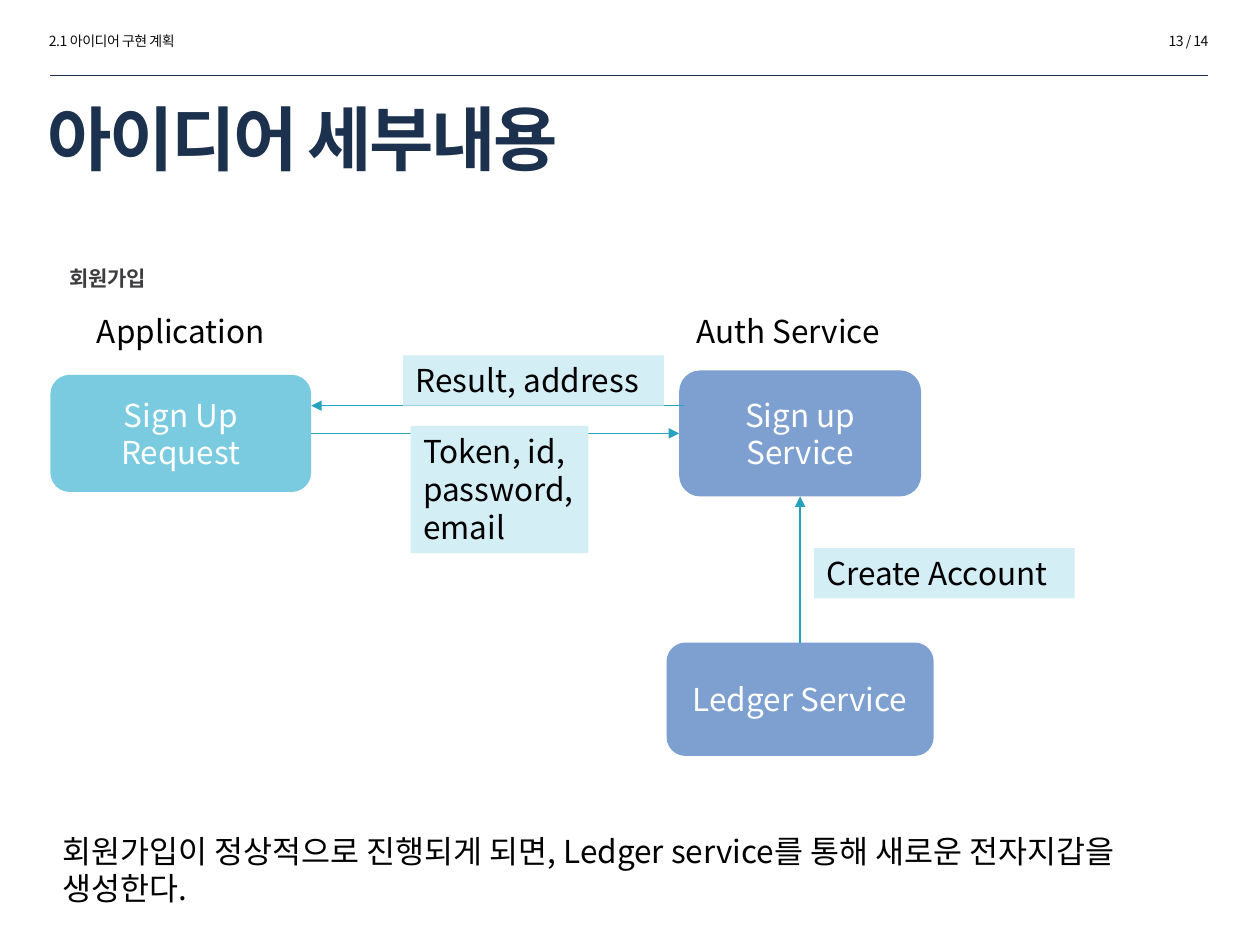
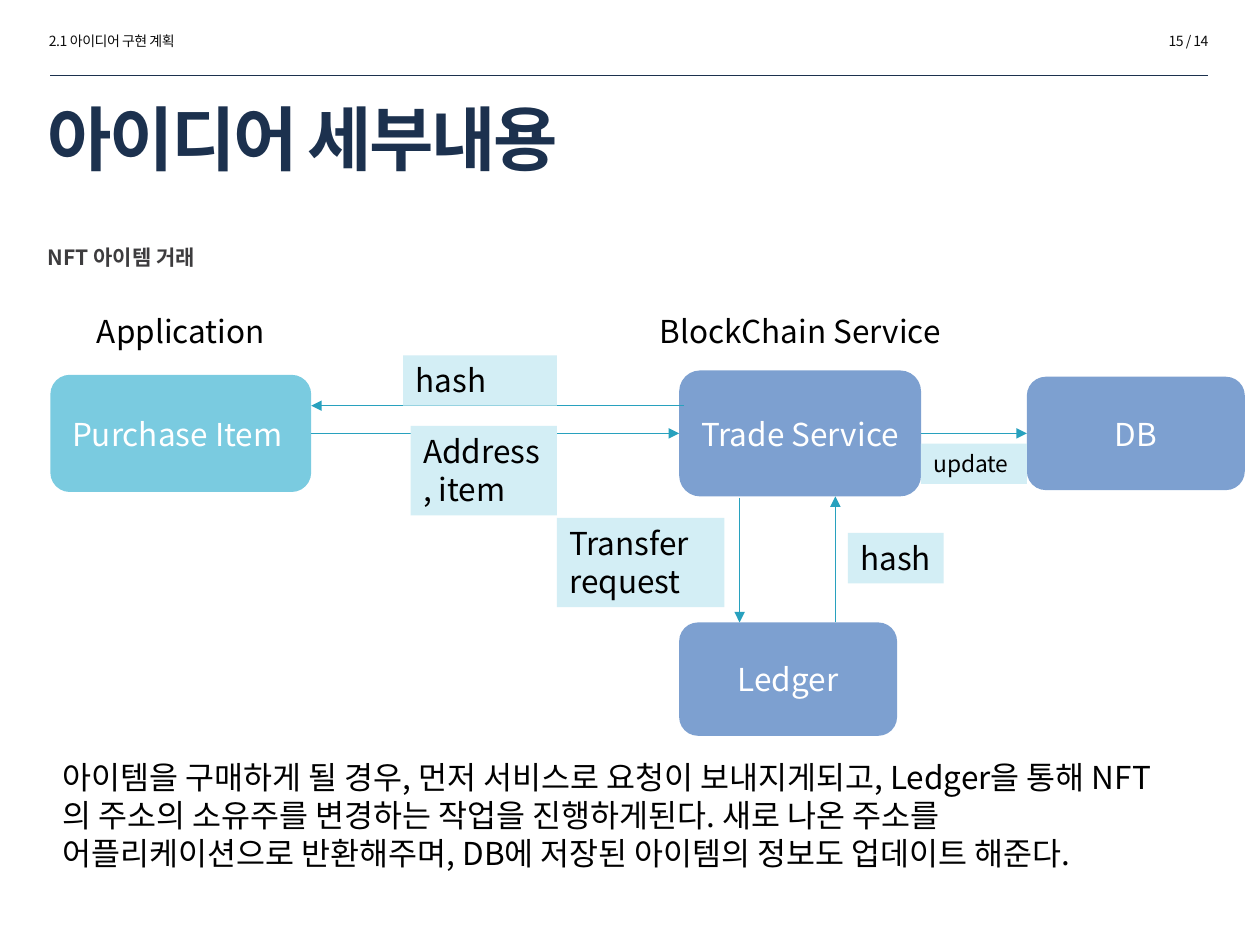
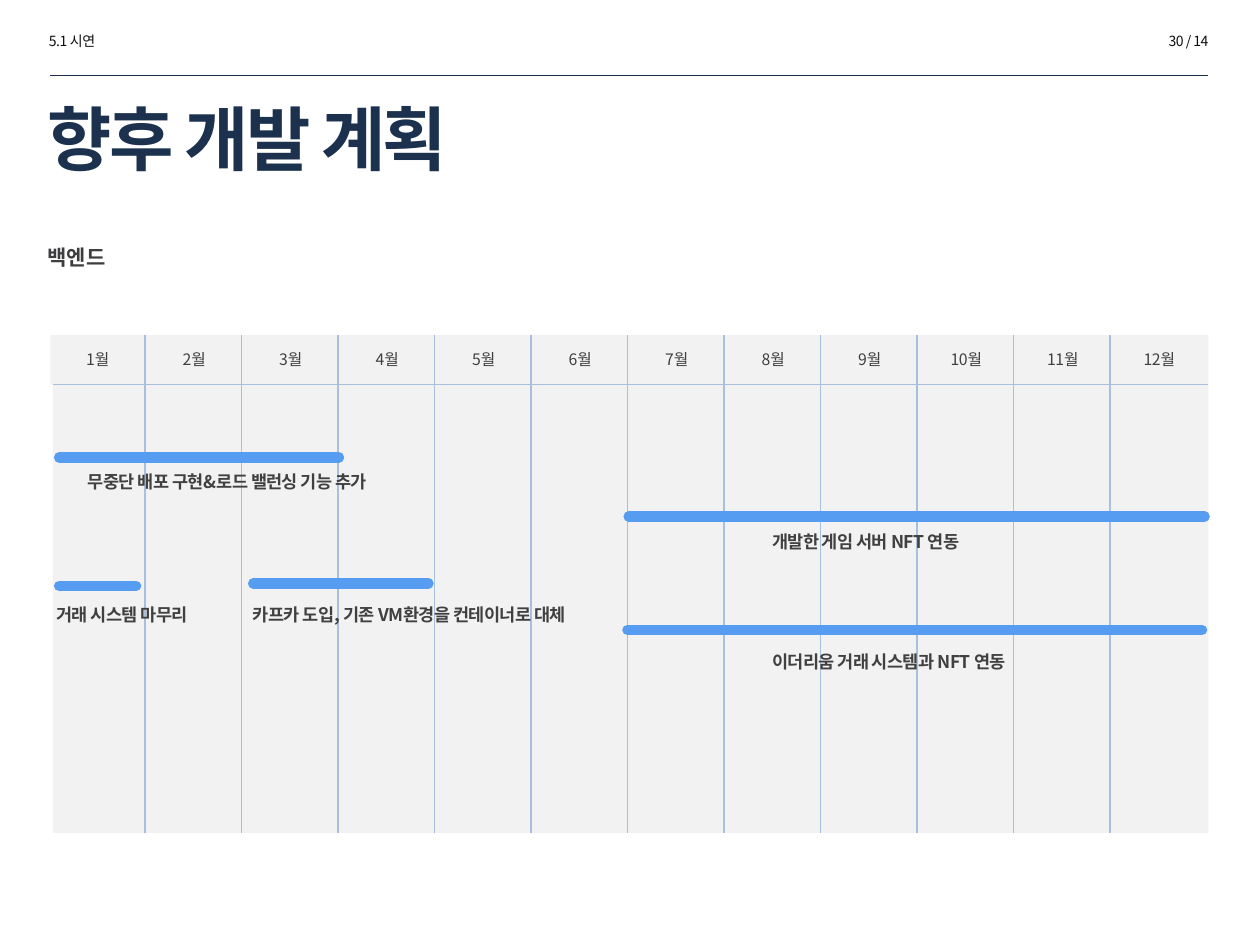
from collections import namedtuple

from lxml import etree
from pptx import Presentation
from pptx.dml.color import RGBColor
from pptx.enum.shapes import MSO_CONNECTOR, MSO_SHAPE
from pptx.enum.text import MSO_ANCHOR, MSO_AUTO_SIZE, PP_ALIGN
from pptx.oxml.ns import qn
from pptx.util import Inches, Pt

NAVY = RGBColor(0x1C, 0x31, 0x4E)
INK = RGBColor(0x0D, 0x0D, 0x0D)
BLACK = RGBColor(0, 0, 0)
WHITE = RGBColor(0xFF, 0xFF, 0xFF)
CHARCOAL = RGBColor(0x3D, 0x3C, 0x3E)
GREY = RGBColor(0x40, 0x40, 0x40)
PANEL = RGBColor(0xF2, 0xF2, 0xF2)
RULE = RGBColor(0xA8, 0xBF, 0xDF)
BAR = RGBColor(0x56, 0x9C, 0xF0)
CYAN = RGBColor(0x7A, 0xCB, 0xE0)
BLUE = RGBColor(0x7D, 0xA0, 0xD0)
PALE = RGBColor(0xD3, 0xEE, 0xF5)
TEAL = RGBColor(0x28, 0xA1, 0xBE)

FONT = "Noto Sans CJK KR"
LEFT, CENTER, RIGHT = PP_ALIGN.LEFT, PP_ALIGN.CENTER, PP_ALIGN.RIGHT
TOP, MIDDLE = MSO_ANCHOR.TOP, MSO_ANCHOR.MIDDLE
RECT, ROUNDED = MSO_SHAPE.RECTANGLE, MSO_SHAPE.FLOWCHART_ALTERNATE_PROCESS
STRAIGHT = MSO_CONNECTOR.STRAIGHT
SITE_TOP, SITE_LEFT, SITE_BOTTOM, SITE_RIGHT = range(4)
TITLE_ONLY = 5
LINE_HEIGHT = 1.2

COLS, ROWS = 100, 75
WIDTH, HEIGHT = Inches(10), Inches(7.5)

TITLE = {"size": 40, "color": NAVY, "bold": True, "spc": -150}
RUNNING = {"size": 8, "color": INK, "spc": -30}
SUBHEAD = {"size": 12, "color": CHARCOAL, "bold": True}
BODY = {"size": 18, "color": BLACK}
SMALL = {"size": 13, "color": BLACK}
NODE = {"size": 18, "color": WHITE}
MONTH = {"size": 9, "color": GREY, "spc": -30}
TASK = {"size": 10, "color": GREY, "bold": True, "spc": -30, "leading": 1.1}

Box = namedtuple("Box", "x y w h")
HEADER = Box(2.8, 2.1, 94.1, 12)
FLOW = Box(4, 24.3, 95, 36)
TIMELINE = Box(4, 26.6, 91.9, 39.5)


def inside(box, x, y, w, h):
    return Box(box.x + x, box.y + y, w, h)


def emu(box):
    cell_w, cell_h = WIDTH / COLS, HEIGHT / ROWS
    return [int(v) for v in (box.x * cell_w, box.y * cell_h,
                             box.w * cell_w, box.h * cell_h)]


def write(sp, text, style, align=LEFT, anchor=TOP, wrap=True):
    tf = sp.text_frame
    frame = {"word_wrap": wrap, "auto_size": MSO_AUTO_SIZE.NONE,
             "vertical_anchor": anchor}
    for name, value in frame.items():
        setattr(tf, name, value)
    p = tf.paragraphs[0]
    p.alignment = align
    p.line_spacing = Pt(style["size"] * LINE_HEIGHT * style.get("leading", 1))
    r = p.add_run()
    r.text = text
    font = {"size": Pt(style["size"]), "bold": style.get("bold", False), "name": FONT}
    for name, value in font.items():
        setattr(r.font, name, value)
    r.font.color.rgb = style["color"]
    rpr = r.font._element
    rpr.set("spc", str(style.get("spc", 0)))
    etree.SubElement(rpr, qn("a:ea")).set("typeface", FONT)


def add_text(slide, box, text, style, align=LEFT):
    sp = slide.shapes.add_textbox(*emu(box))
    write(sp, text, style, align)


def add_block(slide, kind, box, fill):
    sp = slide.shapes.add_shape(kind, *emu(box))
    sp.shadow.inherit = False
    sp.fill.solid()
    sp.fill.fore_color.rgb = fill
    sp.line.fill.background()
    return sp


def add_line(slide, box, color, width, cap=None, arrow=False):
    x, y, w, h = emu(box)
    line = slide.shapes.add_connector(STRAIGHT, x, y, x + w, y + h)
    line.line.color.rgb = color
    line.line.width = Pt(width)
    ln = line.line._get_or_add_ln()
    if cap:
        ln.set("cap", cap)
    if arrow:
        etree.SubElement(ln, qn("a:tailEnd")).set("type", "triangle")
    etree.SubElement(line._element.spPr, qn("a:effectLst"))
    return line


def add_header(prs, box, section, title, page):
    slide = prs.slides.add_slide(prs.slide_layouts[TITLE_ONLY])
    add_line(slide, inside(box, 1.2, 3.9, 91.9, 0), NAVY, 0.25)
    sp = slide.shapes.title
    sp.left, sp.top, sp.width, sp.height = emu(inside(box, 0, 5.6, 76.5, 6.4))
    write(sp, title, TITLE, anchor=MIDDLE)
    add_text(slide, inside(box, 0.1, 0, 17.3, 2.4), section, RUNNING)
    add_text(slide, inside(box, box.w - 17.3, 0, 17.3, 2.4), f"{page} / 14", RUNNING, RIGHT)
    return slide


def add_node(slide, box, text, fill):
    sp = add_block(slide, ROUNDED, box, fill)
    write(sp, text, NODE, CENTER, MIDDLE)
    return sp


def add_label(slide, box, text, style=BODY):
    write(add_block(slide, RECT, box, PALE), text, style)


def add_arrow(slide, box):
    return add_line(slide, box, TEAL, 0.75, arrow=True)


def join(slide, start, start_site, end, end_site):
    arrow = add_arrow(slide, Box(0, 0, 0, 0))
    arrow.begin_connect(start, start_site)
    arrow.end_connect(end, end_site)


def add_exchange(slide, box, client, service, heading, heading_w):
    add_text(slide, inside(box, 0, 0, 20.7, 4), "Application", BODY, CENTER)
    add_text(slide, inside(box, 47, 0, heading_w, 4), heading, BODY, CENTER)
    left = add_node(slide, inside(box, 0, 5.45, 20.7, 9.3), client, CYAN)
    right = add_node(slide, inside(box, 49.9, 5.1, 19.2, 10), service, BLUE)
    join(slide, left, SITE_RIGHT, right, SITE_LEFT)
    add_arrow(slide, inside(box, 50.3, 7.9, -29.6, 0))
    return right


def add_sign_up_flow(slide, box):
    service = add_exchange(slide, box, "Sign Up Request", "Sign up Service",
                           "Auth Service", 23.1)
    ledger = add_node(slide, inside(box, 48.9, 26.7, 21.2, 9), "Ledger Service", BLUE)
    join(slide, ledger, SITE_TOP, service, SITE_BOTTOM)
    add_label(slide, inside(box, 28.6, 9.5, 14.1, 10.1), "Token, id, password, email")
    add_label(slide, inside(box, 28, 3.9, 20.7, 4), "Result, address")
    add_label(slide, inside(box, 60.6, 19.2, 20.7, 4), "Create Account")


def add_trade_flow(slide, box):
    service = add_exchange(slide, box, "Purchase Item ", "Trade Service",
                           "BlockChain Service", 25)
    db = add_node(slide, inside(box, 77.5, 5.6, 17.3, 9), "DB", BLUE)
    add_node(slide, inside(box, 49.9, 25.1, 17.3, 9), "Ledger", BLUE)
    join(slide, service, SITE_RIGHT, db, SITE_LEFT)
    add_arrow(slide, inside(box, 54.7, 15.2, 0, 9.9))
    add_arrow(slide, inside(box, 62.3, 25.1, 0, -10))
    add_label(slide, inside(box, 28.6, 9.5, 11.6, 7.1), "Address, item")
    add_label(slide, inside(box, 28, 3.9, 12.2, 4), "hash")
    add_label(slide, inside(box, 40.2, 16.8, 13.3, 7.1), "Transfer request")
    add_label(slide, inside(box, 63.3, 18, 7.6, 4), "hash")
    add_label(slide, inside(box, 69.1, 10.9, 8.4, 3.2), "update", SMALL)


def add_timeline(slide, box, tasks):
    pitch, head = 7.66, 3.9
    add_block(slide, RECT, inside(box, 0.2, 0, box.w - 0.2, box.h), PANEL)
    for i in range(12):
        sp = add_block(slide, RECT, inside(box, i * pitch, 0, 7.5, head), PANEL)
        write(sp, f"{i + 1}월", MONTH, CENTER, MIDDLE, wrap=False)
    add_line(slide, inside(box, 0.2, head, box.w - 0.2, 0), RULE, 0.5)
    for i in range(1, 12):
        add_line(slide, inside(box, i * pitch - 0.15, 0, 0, box.h), RULE, 0.75)
    for text, bar_x, bar_y, bar_w, text_x, text_y, text_w in tasks:
        add_line(slide, inside(box, bar_x, bar_y, bar_w, 0), BAR, 6, cap="rnd")
        add_text(slide, inside(box, text_x, text_y, text_w, 2.7), text, TASK)


def main():
    prs = Presentation()
    prs.slide_width, prs.slide_height = WIDTH, HEIGHT
    plan, detail = "2.1 아이디어 구현 계획", "아이디어 세부내용"

    s = add_header(prs, HEADER, plan, detail, 13)
    add_text(s, Box(4.5, 20.6, 92.6, 8), "회원가입", SUBHEAD)
    add_sign_up_flow(s, FLOW)
    add_text(s, Box(4, 65.5, 89, 7.1),
             "회원가입이 정상적으로 진행되게 되면, Ledger service를 통해 "
             "새로운 전자지갑을 생성한다.", BODY)

    s = add_header(prs, HEADER, plan, detail, 15)
    add_text(s, Box(2.8, 18.9, 92.6, 3.1), "NFT 아이템 거래", SUBHEAD)
    add_trade_flow(s, FLOW)
    add_text(s, Box(4, 59.7, 89, 10.1),
             "아이템을 구매하게 될 경우, 먼저 서비스로 요청이 보내지게되고, Ledger을 통해 "
             "NFT의 주소의 소유주를 변경하는 작업을 진행하게된다. 새로 나온 주소를 "
             "어플리케이션으로 반환해주며, DB에 저장된 아이템의 정보도 업데이트 해준다.", BODY)

    s = add_header(prs, HEADER, "5.1 시연", "향후 개발 계획", 30)
    add_text(s, Box(2.8, 18.9, 92.6, 3.1), "백엔드", SUBHEAD)
    add_timeline(s, TIMELINE, [
        ("무중단 배포 구현&로드 밸런싱 기능 추가", 0.7, 9.7, 22.2, 2, 10.1, 25.7),
        ("개발한 게임 서버 NFT 연동", 45.9, 14.4, 45.7, 56.3, 14.9, 30.6),
        ("거래 시스템 마무리", 0.7, 19.9, 6.1, -0.5, 20.7, 21.3),
        ("카프카 도입, 기존 VM환경을 컨테이너로 대체", 16.1, 19.7, 13.9, 15.1, 20.7, 27),
        ("이더리움 거래 시스템과 NFT 연동", 45.8, 23.4, 45.6, 56.3, 24.4, 30.6),
    ])
    prs.save("out.pptx")


if __name__ == "__main__":
    main()
